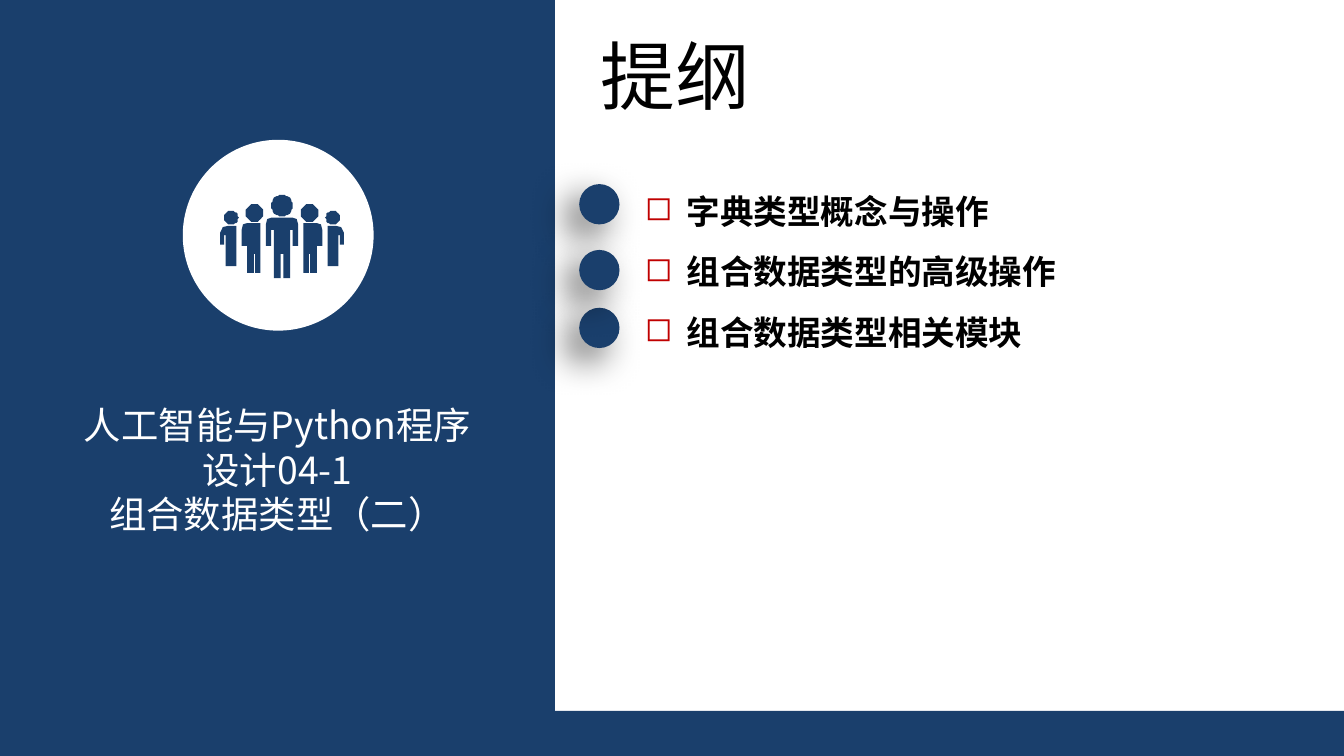
from math import cos, pi, sin

from pptx import Presentation
from pptx.dml.color import RGBColor
from pptx.enum.shapes import MSO_SHAPE as Kind
from pptx.enum.text import MSO_ANCHOR as Anchor, MSO_AUTO_SIZE as Fit, PP_ALIGN as Align
from pptx.oxml import parse_xml
from pptx.oxml.ns import nsdecls, qn
from pptx.util import Inches, Pt

UNIT = Inches(0.1)
COLS, ROWS = 100, 56.25
SIDE, FOOT = 41.3, 3.35
FACE = "Noto Sans CJK SC"
NAVY, WHITE, BLACK, RED = "1A3F6C", "FFFFFF", "000000", "C00000"
TOPICS = ["字典类型概念与操作", "组合数据类型的高级操作", "组合数据类型相关模块"]


def tint(code):
    """Turn a hex string into a colour."""
    return RGBColor.from_string(code)


def place(box, x, y, w, h):
    """Return slide lengths for a part measured in grid cells inside a box."""
    return [round(n * UNIT) for n in (box[0] + x, box[1] + y, w, h)]


def paint(shape, code):
    """Give a shape a flat fill with no line or shadow."""
    shape.shadow.inherit = False
    shape.fill.solid()
    shape.fill.fore_color.rgb = tint(code)
    shape.line.fill.background()
    return shape


def write(para, text, size, code, bold=False):
    """Add one formatted run to a paragraph."""
    run = para.add_run()
    run.text = text
    font = run.font
    font.size, font.bold, font.name = Pt(size), bold, FACE
    font.color.rgb = tint(code)
    run._r.get_or_add_rPr().append(
        parse_xml(f'<a:ea {nsdecls("a")} typeface="{FACE}"/>'))


def lines(frame, texts):
    """Yield a paragraph of the frame with each text."""
    for i, text in enumerate(texts):
        yield frame.add_paragraph() if i else frame.paragraphs[0], text


def mark(para):
    """Give a paragraph a hanging red square bullet."""
    props = para._p.get_or_add_pPr()
    props.set("marL", str(Inches(0.31)))
    props.set("indent", str(-Inches(0.31)))
    for xml in (f'<a:buClr {nsdecls("a")}><a:srgbClr val="{RED}"/></a:buClr>',
                f'<a:buChar {nsdecls("a")} char="◻"/>'):
        props.append(parse_xml(xml))


def shade(shape):
    """Cast a soft shadow to the lower left."""
    shape._element.spPr.find(qn("a:effectLst")).append(parse_xml(
        f'<a:outerShdw {nsdecls("a")} blurRad="{Pt(20)}" dist="{Pt(10)}" '
        f'dir="{135 * 60000}" algn="tr" rotWithShape="0"><a:srgbClr val="{BLACK}">'
        '<a:alpha val="60000"/></a:srgbClr></a:outerShdw>'))


def flip(points):
    """Mirror points about the crowd's axis, keeping their winding."""
    return [(-x, y) for x, y in reversed(points)]


def head(x, y, r):
    """Return a round outline."""
    return [(x + r * cos(i * pi / 16), y + r * sin(i * pi / 16)) for i in range(32)]


def half(left, arm, leg, gap, top, pit, hand, fork, foot):
    """Return the left half of a body, from the fork up to the shoulder."""
    return [(gap, fork), (gap, foot), (leg, foot), (leg, pit), (arm, pit),
            (arm, hand), (left, hand), (left, top + 5), (left + 1.5, top + 1.5),
            (left + 5, top)]


def crowd():
    """Return the outlines of five people in hundredths of an inch."""
    core = half(-12.5, -7.5, -6.5, -1, 17, 26, 38, 44, 62)
    near = half(-30.5, -26.5, -25.5, -20.7, 21, 29, 38, 44, 58)
    near += [(-16.5, 21), (-16, 58), (-20.2, 58), (-20.2, 44)]
    far = half(-45.5, -42.7, -42.3, -38.5, 23, 30, 37, 42, 53)
    far += [(-34.5, 23), (-34, 53), (-37.5, 53), (-37.5, 42)]
    wing = [near, far, head(-20.5, 13.5, 6.8), head(-37.7, 17, 5.3)]
    return [core + flip(core), head(0, 8, 8), *wing, *map(flip, wing)]


def badge(slide, box):
    """Draw the crowd on a white disc."""
    group = slide.shapes.add_group_shape().shapes
    paint(group.add_shape(Kind.OVAL, *place(box, 0, 0, 14.2, 14.2)), WHITE)
    outlines = crowd()
    pen = group.build_freeform(*outlines[0][0], scale=UNIT / 10)
    for i, points in enumerate(outlines):
        if i:
            pen.move_to(*points[0])
        pen.add_line_segments(points[1:], close=True)
    paint(pen.convert_to_shape(*place(box, 7.38, 4.1, 0, 0)[:2]), NAVY)


def panel(slide, box):
    """Draw the navy side panel with its badge and course name."""
    paint(slide.shapes.add_shape(Kind.RECTANGLE, *place(box, 0, 0, *box[2:])), NAVY)
    frame = slide.shapes.add_textbox(*place(box, 5.9, 29.9, 29.5, 10.1)).text_frame
    frame.word_wrap = True
    frame.margin_left = frame.margin_right = frame.margin_top = frame.margin_bottom = 0
    for para, text in lines(frame, ["人工智能与Python程序设计04-1", "组合数据类型（二）"]):
        para.alignment = Align.CENTER
        write(para, text, 20, WHITE)
    badge(slide, (box[0] + 13.6, box[1] + 10.4))


def outline(slide, box):
    """Fill the title and the list of topics with their dots."""
    title = slide.shapes.title
    title.left, title.top, title.width, title.height = place(box, 2.4, 1.7, 13.2, 7.7)
    frame = title.text_frame
    frame.word_wrap, frame.auto_size = False, Fit.SHAPE_TO_FIT_TEXT
    frame.vertical_anchor = Anchor.TOP
    frame.paragraphs[0].alignment = Align.LEFT
    write(frame.paragraphs[0], "提纲", 40, BLACK)
    frame = slide.shapes.add_textbox(*place(box, 5.7, 12.2, 49.9, 14.1)).text_frame
    frame.word_wrap = True
    for para, text in lines(frame, TOPICS):
        para.line_spacing = 1.5
        mark(para)
        write(para, text, 18, BLACK, True)
    for y in (13.7, 22.9, 18.6):
        shade(paint(slide.shapes.add_shape(Kind.OVAL, *place(box, 1.8, y, 3, 3)), NAVY))


def main():
    """Build and save the slide."""
    deck = Presentation()
    deck.slide_width, deck.slide_height = round(COLS * UNIT), round(ROWS * UNIT)
    slide = deck.slides.add_slide(deck.slide_layouts[5])
    foot = place((0, ROWS - FOOT), 0, 0, COLS, FOOT)
    paint(slide.shapes.add_shape(Kind.RECTANGLE, *foot), NAVY)
    panel(slide, (0, 0, SIDE, ROWS))
    outline(slide, (SIDE, 0, COLS - SIDE, ROWS - FOOT))
    deck.save("out.pptx")


if __name__ == "__main__":
    main()
